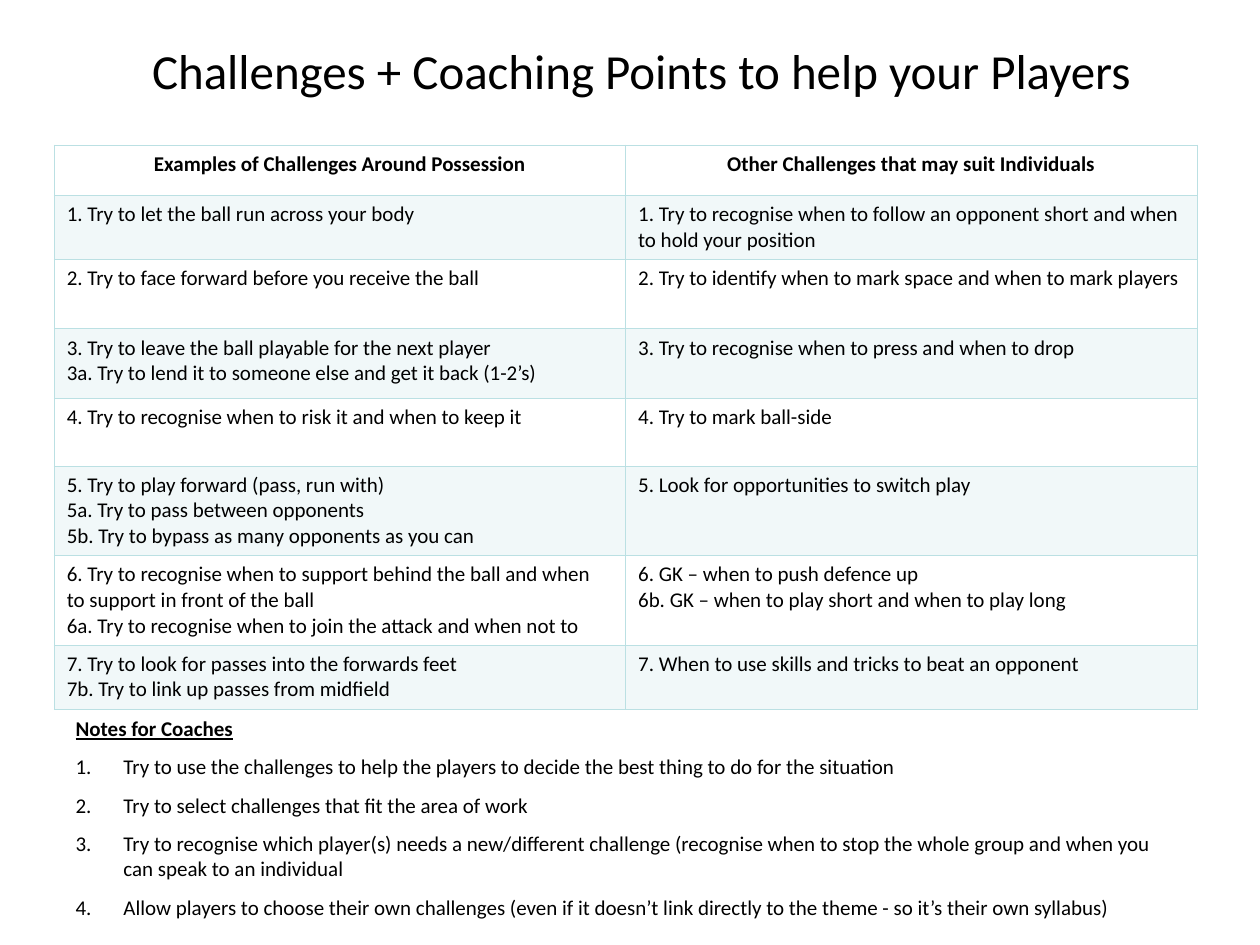
from dataclasses import dataclass

from lxml import etree
from pptx import Presentation
from pptx import util as u
from pptx.dml.color import RGBColor
from pptx.enum import text
from pptx.oxml import ns


@dataclass(frozen=True)
class Theme:
    font: str = "Calibri"
    ink: RGBColor = RGBColor(0, 0, 0)
    accent: RGBColor = RGBColor(0xBB, 0xE0, 0xE3)
    band_alpha: int = 20
    title: float = 28
    body: float = 12
    rule: float = 0.45
    header_rule: float = 0.96


THEME = Theme()

TITLE = "Challenges + Coaching Points to help your Players"
HEADERS = ("Examples of Challenges Around Possession",
           "Other Challenges that may suit Individuals")
# Row height, possession challenges, individual challenges
CHALLENGES = [
    (0.51, ["1. Try to let the ball run across your body"],
     ["1. Try to recognise when to follow an opponent short and when to hold your position"]),
    (0.55, ["2. Try to face forward before you receive the ball"],
     ["2. Try to identify when to mark space and when to mark players"]),
    (0.55, ["3. Try to leave the ball playable for the next player",
            "3a. Try to lend it to someone else and get it back (1-2’s)"],
     ["3. Try to recognise when to press and when to drop"]),
    (0.54, ["4. Try to recognise when to risk it and when to keep it"],
     ["4. Try to mark ball-side"]),
    (0.71, ["5. Try to play forward (pass, run with)",
            "5a. Try to pass between opponents",
            "5b. Try to bypass as many opponents as you can"],
     ["5. Look for opportunities to switch play"]),
    (0.71, ["6. Try to recognise when to support behind the ball and when to support in front of the ball",
            "6a. Try to recognise when to join the attack and when not to"],
     ["6. GK – when to push defence up",
      "6b. GK – when to play short and when to play long"]),
    (0.51, ["7. Try to look for passes into the forwards feet",
            "7b. Try to link up passes from midfield"],
     ["7. When to use skills and tricks to beat an opponent"]),
]
NOTES_HEADING = "Notes for Coaches"
NOTES = [
    "Try to use the challenges to help the players to decide the best thing to do for the situation",
    "Try to select challenges that fit the area of work",
    "Try to recognise which player(s) needs a new/different challenge (recognise when to stop "
    "the whole group and when you can speak to an individual",
    "Allow players to choose their own challenges (even if it doesn’t link directly to the theme "
    "- so it’s their own syllabus)",
]


def place(sp, box):
    sp.left, sp.top, sp.width, sp.height = map(u.Inches, box)


def style(p, size, bold=False, underline=False):
    p.font.name, p.font.size = THEME.font, u.Pt(size)
    p.font.bold, p.font.underline = bold, underline
    p.font.color.rgb = THEME.ink


def paragraphs(tf, lines):
    tf.text = "\n".join(lines)
    return tf.paragraphs


def set_borders(cell, **widths):
    tc_pr = cell._tc.get_or_add_tcPr()
    for side in "LRTB":
        width = u.Pt(widths.get(side, THEME.rule))
        ln = etree.SubElement(tc_pr, ns.qn(f"a:ln{side}"), w=str(int(width)))
        fill = etree.SubElement(ln, ns.qn("a:solidFill"))
        etree.SubElement(fill, ns.qn("a:srgbClr"), val=str(THEME.accent))


def set_band(cell, banded):
    if not banded:
        cell.fill.background()
        return
    cell.fill.solid()
    cell.fill.fore_color.rgb = THEME.accent
    color = cell._tc.tcPr.find(".//" + ns.qn("a:solidFill") + "[last()]")
    color = cell._tc.tcPr.findall(ns.qn("a:solidFill"))[0][0]
    etree.SubElement(color, ns.qn("a:alpha"), val=str(THEME.band_alpha * 1000))


def add_title(slide, box):
    sp = slide.shapes.title
    place(sp, box)
    tf = sp.text_frame
    tf.text = TITLE
    tf.auto_size = text.MSO_AUTO_SIZE.NONE
    tf.vertical_anchor = text.MSO_ANCHOR.MIDDLE
    p = tf.paragraphs[0]
    p.alignment = text.PP_ALIGN.CENTER
    style(p, THEME.title)


def add_challenges(slide, box):
    rows = [(0.4, *([h] for h in HEADERS)), *CHALLENGES]
    table = slide.shapes.add_table(len(rows), len(HEADERS), *map(u.Inches, box)).table
    for r, (height, *columns) in enumerate(rows):
        table.rows[r].height = u.Inches(height)
        # The rule between the header and the first row is heavier
        heavy = {0: {"B": THEME.header_rule}, 1: {"T": THEME.header_rule}}.get(r, {})
        for c, lines in enumerate(columns):
            cell = table.cell(r, c)
            for p in paragraphs(cell.text_frame, lines):
                p.alignment = text.PP_ALIGN.LEFT if r else text.PP_ALIGN.CENTER
                style(p, THEME.body, bold=r == 0)
            set_borders(cell, **heavy)
            set_band(cell, r % 2 == 1)


def add_notes(slide, box):
    sp = slide.placeholders[1]
    place(sp, box)
    tf = sp.text_frame
    tf.auto_size = text.MSO_AUTO_SIZE.NONE
    indent = u.Inches(0.38)
    for i, p in enumerate(paragraphs(tf, [NOTES_HEADING, *NOTES])):
        p_pr = p._p.get_or_add_pPr()
        p_pr.set("marL", str(indent))
        p_pr.set("indent", str(-indent))
        if i:
            etree.SubElement(p_pr, ns.qn("a:buFont"), typeface=THEME.font)
            etree.SubElement(p_pr, ns.qn("a:buAutoNum"), type="arabicPeriod")
        else:
            etree.SubElement(p_pr, ns.qn("a:buNone"))
        p.space_before = u.Pt(7.5 if i else 0)
        style(p, THEME.body, bold=i == 0, underline=i == 0)


def main():
    prs = Presentation()
    prs.slide_width, prs.slide_height = u.Inches(10), u.Inches(7.5)
    slide = prs.slides.add_slide(prs.slide_layouts[1])
    add_title(slide, (0.59, 0.28, 9, 0.55))
    add_challenges(slide, (0.43, 1.15, 9.07, 4.48))
    add_notes(slide, (0.5, 5.63, 8.75, 1.72))
    prs.save("out.pptx")


if __name__ == "__main__":
    main()
